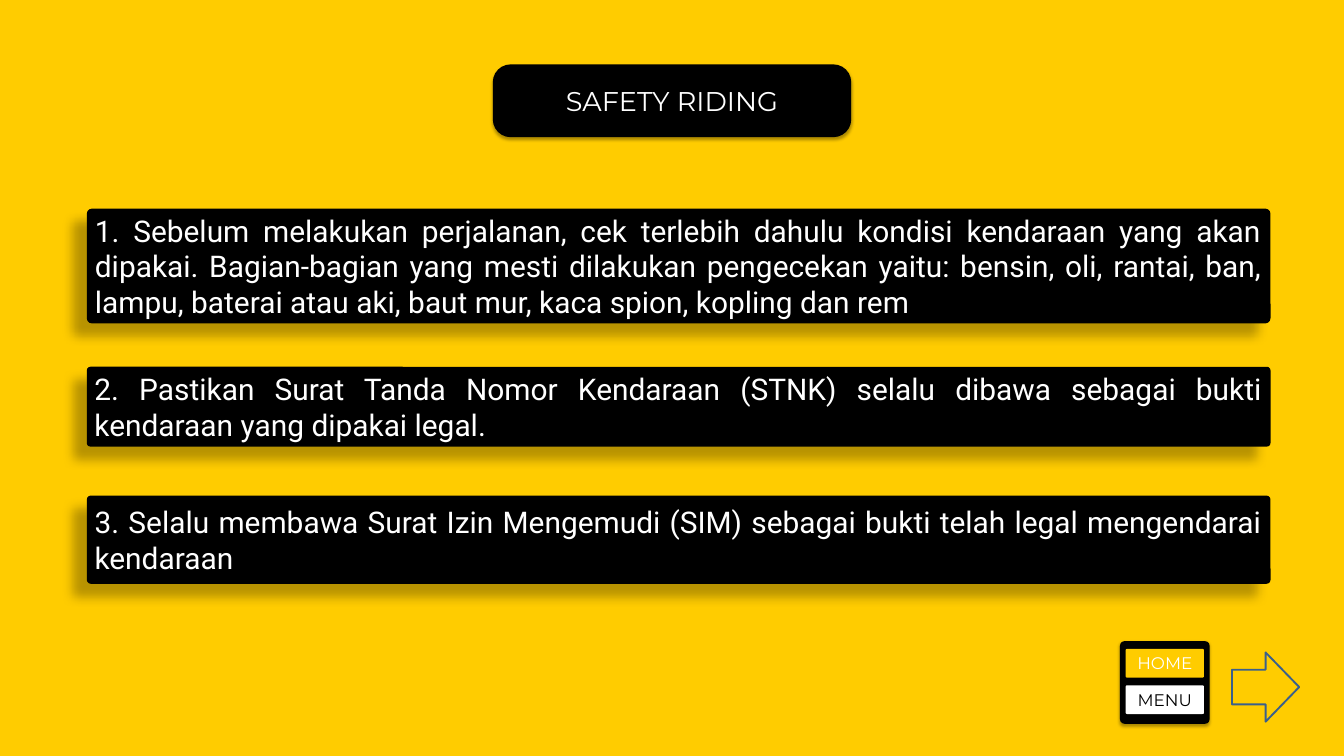
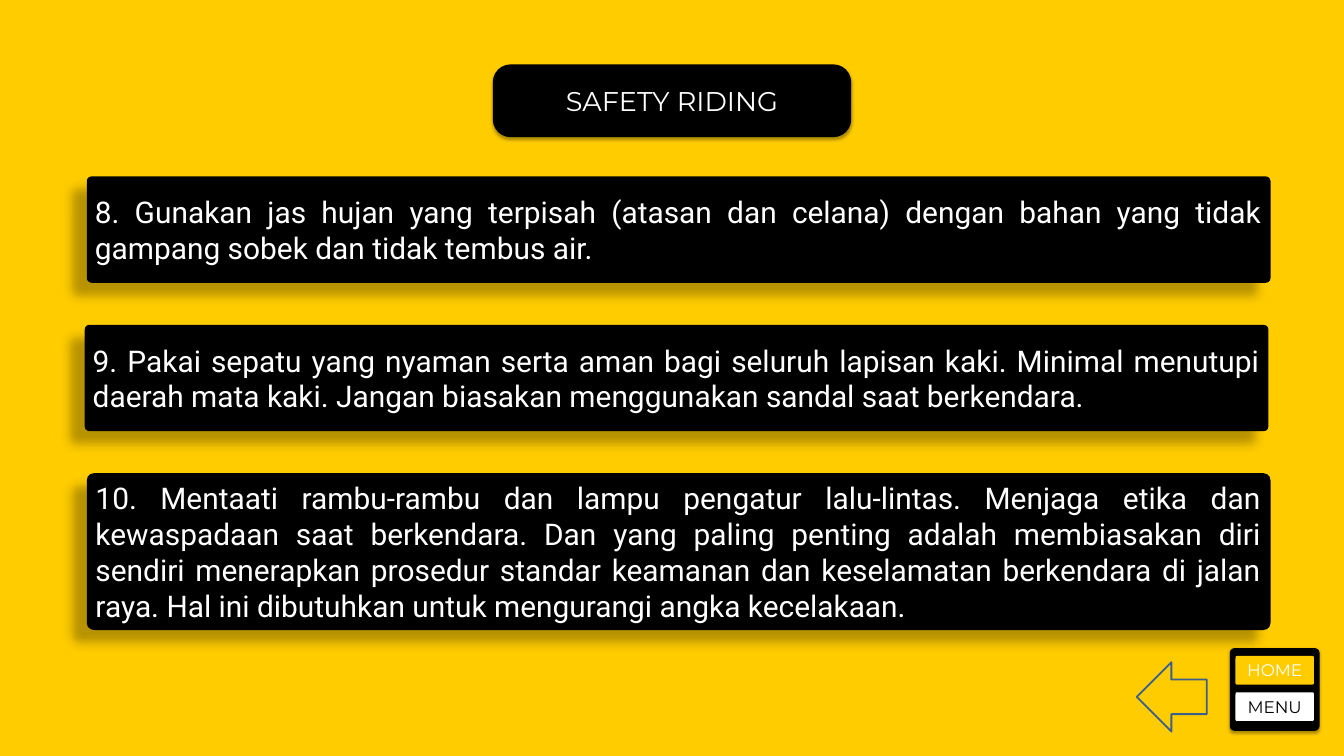
from dataclasses import dataclass
from typing import Any, Optional

from lxml.etree import SubElement
from pptx import Presentation
from pptx.dml.color import RGBColor
from pptx.enum.shapes import MSO_SHAPE as Kind
from pptx.enum.text import MSO_ANCHOR as Anchor, PP_ALIGN as Align
from pptx.oxml.ns import qn
from pptx.util import Emu, Pt

SCALE = 9525
WIDE, HIGH = 1920, 1080
HUES = {
    "road": "FFCC00",
    "ink": "000000",
    "paper": "FFFFFF",
    "edge": "3A5F8C",
}


@dataclass(frozen=True)
class Shade:
    alpha: int
    blur: float
    dist: float
    angle: int


@dataclass(frozen=True)
class Style:
    fill: str
    round: float
    shade: Shade
    hue: str = "paper"
    font: str = "Montserrat"
    size: int = 18
    align: Align = Align.CENTER


@dataclass(frozen=True)
class Box:
    left: int
    top: int
    wide: int
    high: int


@dataclass(frozen=True)
class Rule:
    text: str
    high: int
    gap: int = 60
    left: int = 124


@dataclass(frozen=True)
class Page:
    top: int
    rules: tuple[Rule, ...]
    arrow: Box
    flip: bool
    menu: tuple[int, int]


SOFT = Shade(32, 3.5, 2.2, 90)
DEEP = Shade(28, 11.8, 19.7, 141)
FLOOR = Style("road", 0, SOFT)
TITLE = Style("ink", 0.245, SOFT, size=29)
PANEL = Style("ink", 0.045, DEEP, font="Roboto", size=32, align=Align.JUSTIFY)
FRAME = Style("ink", 0.054, SOFT)
KEYS = {
    "HOME": Style("road", 0.054, SOFT),
    "MENU": Style("paper", 0.054, SOFT, hue="ink"),
}

PAGES = (
    Page(
        298,
        (
            Rule("1. Sebelum melakukan perjalanan, cek terlebih dahulu kondisi "
                 "kendaraan yang akan dipakai. Bagian-bagian yang mesti dilakukan "
                 "pengecekan yaitu: bensin, oli, rantai, ban, lampu, baterai atau "
                 "aki, baut mur, kaca spion, kopling dan rem", 164, gap=62),
            Rule("2. Pastikan Surat Tanda Nomor Kendaraan (STNK) selalu dibawa "
                 "sebagai bukti kendaraan yang dipakai legal.", 114, gap=70),
            Rule("3. Selalu membawa Surat Izin Mengemudi (SIM) sebagai bukti telah "
                 "legal mengendarai kendaraan", 126),
        ),
        Box(1760, 932, 96, 99),
        False,
        (1600, 916),
    ),
    Page(
        252,
        (
            Rule("8. Gunakan jas hujan yang terpisah (atasan dan celana) dengan "
                 "bahan yang tidak gampang sobek dan tidak tembus air.", 152),
            Rule("9. Pakai sepatu yang nyaman serta aman bagi seluruh lapisan kaki. "
                 "Minimal menutupi daerah mata kaki. Jangan biasakan menggunakan "
                 "sandal saat berkendara.", 152, left=121),
            Rule("10. Mentaati rambu-rambu dan lampu pengatur lalu-lintas. Menjaga "
                 "etika dan kewaspadaan saat berkendara. Dan yang paling penting "
                 "adalah membiasakan diri sendiri menerapkan prosedur standar "
                 "keamanan dan keselamatan berkendara di jalan raya. Hal ini "
                 "dibutuhkan untuk mengurangi angka kecelakaan.", 224),
        ),
        Box(1624, 946, 100, 99),
        True,
        (1757, 926),
    ),
)


def px(size: int) -> Emu:
    return Emu(size * SCALE)


def tint(name: str) -> RGBColor:
    return RGBColor.from_string(HUES[name])


def apply(item: Any, form: dict[str, Any]) -> None:
    for name, value in form.items():
        setattr(item, name, value)


def add_shape(shapes: Any, kind: Kind, box: Box, fill: str) -> Any:
    shape = shapes.add_shape(
        kind, px(box.left), px(box.top), px(box.wide), px(box.high))
    shape.shadow.inherit = False
    shape.fill.solid()
    shape.fill.fore_color.rgb = tint(fill)
    return shape


def cast(shape: Any, shade: Shade) -> None:
    effects = shape._element.spPr.find(qn("a:effectLst"))
    outer = SubElement(effects, qn("a:outerShdw"), {
        "blurRad": str(Pt(shade.blur)),
        "dist": str(Pt(shade.dist)),
        "dir": str(shade.angle * 60000),
        "algn": "ctr",
        "rotWithShape": "0",
    })
    color = SubElement(outer, qn("a:srgbClr"), val=HUES["ink"])
    SubElement(color, qn("a:alpha"), val=str(shade.alpha * 1000))


def add_card(shapes: Any, box: Box, style: Style,
             text: Optional[str] = None) -> None:
    card = add_shape(shapes, Kind.ROUNDED_RECTANGLE, box, style.fill)
    card.adjustments[0] = style.round
    card.line.fill.background()
    cast(card, style.shade)
    if text is None:
        return
    frame = card.text_frame
    apply(frame, {"word_wrap": True, "vertical_anchor": Anchor.MIDDLE})
    para = frame.paragraphs[0]
    para.alignment = style.align
    run = para.add_run()
    run.text = text
    apply(run.font, {"name": style.font, "size": Pt(style.size)})
    run.font.color.rgb = tint(style.hue)


def add_arrow(shapes: Any, box: Box, flip: bool) -> None:
    arrow = add_shape(shapes, Kind.RIGHT_ARROW, box, "road")
    arrow.line.color.rgb = tint("edge")
    arrow.line.width = Pt(2)
    if flip:
        arrow._element.spPr.xfrm.set("flipH", "1")


def add_menu(shapes: Any, left: int, top: int) -> None:
    group = shapes.add_group_shape().shapes
    add_card(group, Box(left, top, 128, 118), FRAME)
    for row, (name, style) in enumerate(KEYS.items()):
        add_card(group, Box(left + 8, top + 11 + 52 * row, 112, 41), style, name)


def add_page(deck: Any, page: Page) -> None:
    shapes = deck.slides.add_slide(deck.slide_layouts[6]).shapes
    add_card(shapes, Box(0, 0, WIDE, HIGH), FLOOR)
    add_card(shapes, Box(704, 92, 512, 104), TITLE, "SAFETY RIDING")
    top = page.top
    for rule in page.rules:
        add_card(shapes, Box(rule.left, top, 1691, rule.high), PANEL, rule.text)
        top += rule.high + rule.gap
    add_arrow(shapes, page.arrow, page.flip)
    add_menu(shapes, *page.menu)


def main() -> None:
    deck = Presentation()
    apply(deck, {"slide_width": px(WIDE), "slide_height": px(HIGH)})
    for page in PAGES:
        add_page(deck, page)
    deck.save("out.pptx")


if __name__ == "__main__":
    main()
